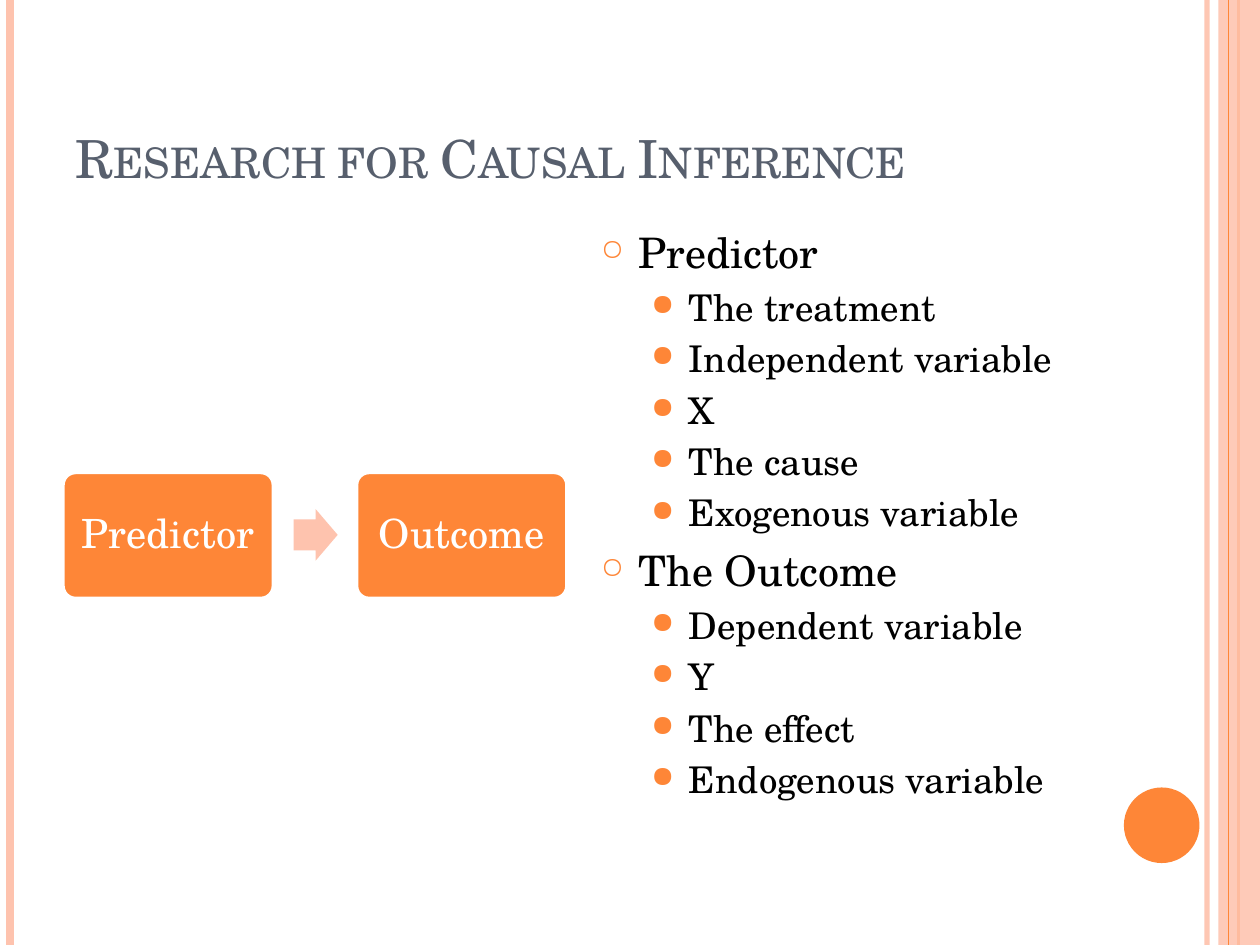
"""Build a slide on predictors and outcomes in causal inference."""
from typing import NamedTuple

from lxml import etree
from pptx import Presentation
from pptx.dml.color import RGBColor
from pptx.enum.shapes import MSO_CONNECTOR, MSO_SHAPE
from pptx.enum.text import MSO_ANCHOR, MSO_AUTO_SIZE, PP_ALIGN
from pptx.oxml.ns import qn
from pptx.util import Inches, Pt

STRAIGHT = MSO_CONNECTOR.STRAIGHT
RECTANGLE, ELLIPSE = MSO_SHAPE.RECTANGLE, MSO_SHAPE.OVAL
ROUNDED, ARROW = MSO_SHAPE.ROUNDED_RECTANGLE, MSO_SHAPE.RIGHT_ARROW
MIDDLE, BOTTOM = MSO_ANCHOR.MIDDLE, MSO_ANCHOR.BOTTOM
LEFT, CENTER = PP_ALIGN.LEFT, PP_ALIGN.CENTER
NO_AUTOFIT = MSO_AUTO_SIZE.NONE

ORANGE = RGBColor(0xFE, 0x86, 0x37)
PEACH = RGBColor(0xFE, 0xC3, 0xAE)
SLATE = RGBColor(0x57, 0x5F, 0x6D)
WHITE = RGBColor(0xFF, 0xFF, 0xFF)
BLACK = RGBColor(0x00, 0x00, 0x00)
FONT = "TeX Gyre Schola"


class Box(NamedTuple):
    left: float
    top: float
    width: float
    height: float


class Stripe(NamedTuple):
    x: float
    color: RGBColor
    weight: float
    opacity: int = 100


class Level(NamedTuple):
    size: float
    margin: float
    space_before: float
    bullet: str
    bullet_percent: int


class Topic(NamedTuple):
    heading: str
    items: tuple[str, ...]


STRIPES_BELOW = (Stripe(9.58, PEACH, 3, 93), Stripe(0.08, PEACH, 4.5), Stripe(9.83, ORANGE, 1.5))
STRIPE_ABOVE = Stripe(9.75, ORANGE, 0.75)
HEADING = Level(24, 0.3, 6, "○", 70)
ITEM = Level(21, 0.7, 4.2, "●", 80)
TOPICS = (
    Topic("Predictor", ("The treatment", "Independent variable", "X", "The cause", "Exogenous variable")),
    Topic("The Outcome", ("Dependent variable", "Y", "The effect", "Endogenous variable")),
)
STEPS = ("Predictor", "Outcome")
STEP_LEFT, STEP_PITCH = 0.5, 2.33


def set_opacity(fill, percent: int) -> None:
    """Make a solid fill partly transparent."""
    color = fill._xPr.find(qn("a:solidFill"))[0]
    etree.SubElement(color, qn("a:alpha"), val=str(percent * 1000))


def add_stripe(slide, stripe: Stripe) -> None:
    """Draw a vertical line down the whole slide."""
    x = Inches(stripe.x)
    connector = slide.shapes.add_connector(STRAIGHT, x, 0, x, Inches(7.5))
    connector.line.color.rgb = stripe.color
    connector.line.width = Pt(stripe.weight)
    if stripe.opacity < 100:
        set_opacity(connector.line.fill, stripe.opacity)
    etree.SubElement(connector._element.spPr, qn("a:effectLst"))


def add_filled_shape(slide, kind, box: Box, color: RGBColor):
    """Add a flat preset shape without an outline."""
    shape = slide.shapes.add_shape(kind, *map(Inches, box))
    shape.shadow.inherit = False
    shape.fill.solid()
    shape.fill.fore_color.rgb = color
    shape.line.fill.background()
    return shape


def add_run(paragraph, text: str, size: float, color: RGBColor):
    """Add a formatted run to a paragraph."""
    run = paragraph.add_run()
    run.text = text
    run.font.name = FONT
    run.font.size = Pt(size)
    run.font.color.rgb = color
    return run


def add_title(slide, text: str) -> None:
    """Place and format the title in small capitals."""
    title = slide.shapes.title
    title.left, title.top, title.width, title.height = map(Inches, Box(0.5, 0.3, 8.17, 1.25))
    frame = title.text_frame
    frame.auto_size = NO_AUTOFIT
    frame.vertical_anchor = BOTTOM
    frame.paragraphs[0].alignment = LEFT
    run = add_run(frame.paragraphs[0], text, 30, SLATE)
    run.font._element.set("cap", "small")


def add_step(slide, text: str, left: float) -> None:
    """Add one labelled box of the process."""
    shape = add_filled_shape(slide, ROUNDED, Box(left, 3.75, 1.67, 1), ORANGE)
    shape.adjustments[0] = 0.1
    shape.line.color.rgb = WHITE
    shape.line.width = Pt(2)
    frame = shape.text_frame
    frame.word_wrap = True
    frame.vertical_anchor = MIDDLE
    frame.margin_left = frame.margin_right = Inches(0.1)
    frame.margin_top = frame.margin_bottom = Inches(0.1)
    paragraph = frame.paragraphs[0]
    paragraph.alignment = CENTER
    paragraph.line_spacing = 0.9
    add_run(paragraph, text, 23, WHITE)


def add_bullet(paragraph, text: str, level: Level) -> None:
    """Fill a paragraph with bulleted text."""
    paragraph.space_before = Pt(level.space_before)
    properties = paragraph._p.get_or_add_pPr()
    properties.set("marL", str(Inches(level.margin)))
    properties.set("indent", str(Inches(-0.3)))
    color = etree.SubElement(properties, qn("a:buClr"))
    etree.SubElement(color, qn("a:srgbClr"), val=str(ORANGE))
    etree.SubElement(properties, qn("a:buSzPct"), val=str(level.bullet_percent * 1000))
    etree.SubElement(properties, qn("a:buChar"), char=level.bullet)
    add_run(paragraph, text, level.size, BLACK)


def add_topics(slide, topics: tuple[Topic, ...]) -> None:
    """Add the two-level list."""
    frame = slide.shapes.add_textbox(*map(Inches, Box(4.67, 1.75, 4, 5))).text_frame
    frame.word_wrap = True
    lines = [
        line
        for topic in topics
        for line in [(topic.heading, HEADING), *((item, ITEM) for item in topic.items)]
    ]
    for index, (text, level) in enumerate(lines):
        paragraph = frame.add_paragraph() if index else frame.paragraphs[0]
        paragraph.level = int(level is ITEM)
        add_bullet(paragraph, text, level)


def main() -> None:
    """Build and save the presentation."""
    presentation = Presentation()
    presentation.slide_width, presentation.slide_height = Inches(10), Inches(7.5)
    slide = presentation.slides.add_slide(presentation.slide_layouts[5])
    for stripe in STRIPES_BELOW:
        add_stripe(slide, stripe)
    band = add_filled_shape(slide, RECTANGLE, Box(9.67, 0, 0.33, 7.5), PEACH)
    set_opacity(band.fill, 87)
    add_stripe(slide, STRIPE_ABOVE)
    add_filled_shape(slide, ELLIPSE, Box(8.92, 6.25, 0.6, 0.6), ORANGE)
    add_title(slide, "Research for Causal Inference")
    for index, step in enumerate(STEPS):
        add_step(slide, step, STEP_LEFT + index * STEP_PITCH)
    arrow = add_filled_shape(slide, ARROW, Box(2.33, 4.04, 0.35, 0.41), PEACH)
    arrow.adjustments[0] = 0.6
    arrow.adjustments[1] = 0.5
    add_topics(slide, TOPICS)
    presentation.save("out.pptx")


if __name__ == "__main__":
    main()
